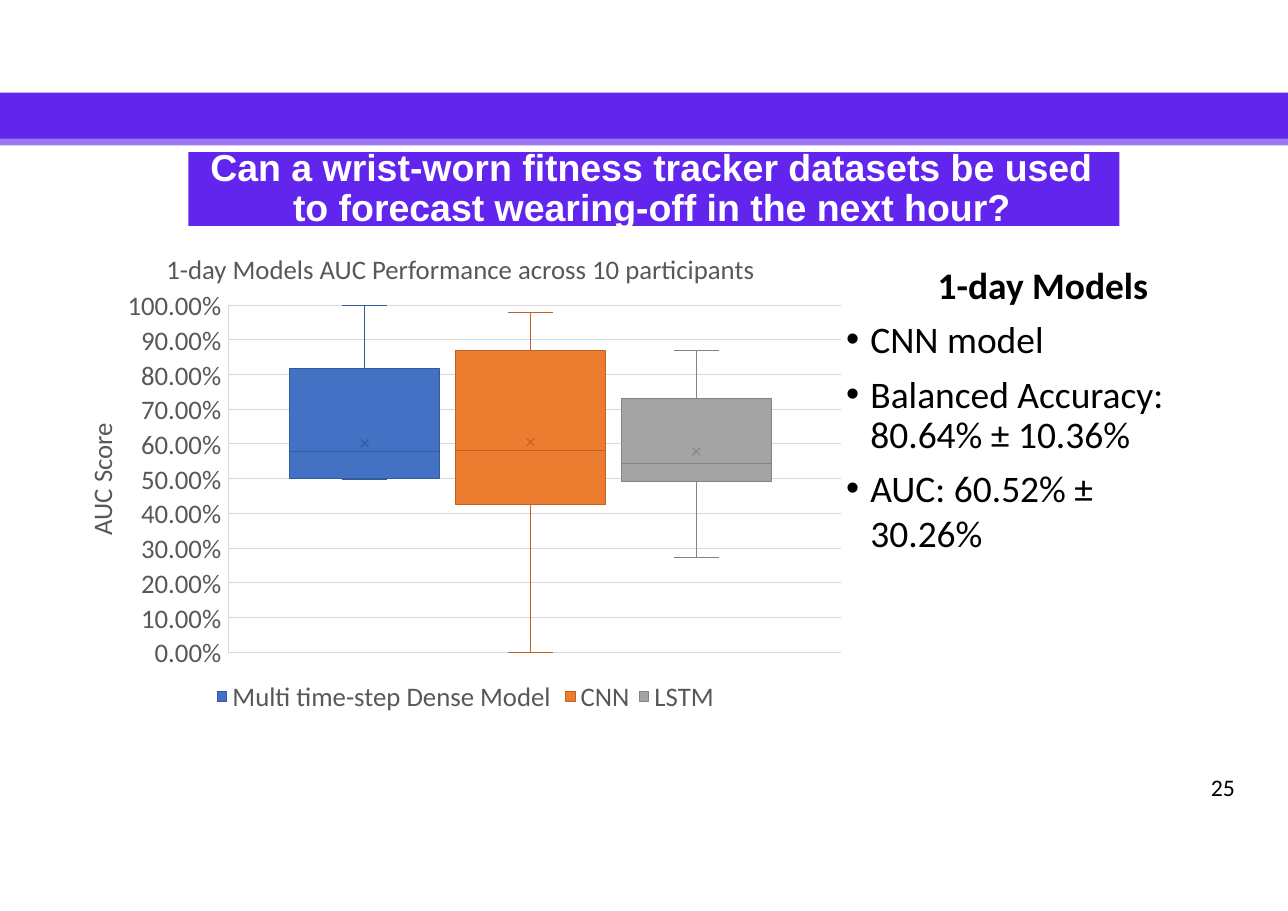
from lxml.etree import SubElement
from pptx import Presentation
from pptx.dml.color import RGBColor
from pptx.enum.shapes import MSO_CONNECTOR, MSO_SHAPE
from pptx.enum.text import MSO_ANCHOR, MSO_AUTO_SIZE, PP_ALIGN
from pptx.oxml.ns import qn
from pptx.util import Inches, Pt

PURPLE = RGBColor(0x61, 0x25, 0xED)
LILAC = RGBColor(0x9D, 0x77, 0xF3)
WHITE = RGBColor(0xFF, 0xFF, 0xFF)
BLACK = RGBColor(0, 0, 0)
GRAY_TEXT = RGBColor(0x58, 0x58, 0x58)
GRID = RGBColor(0xD8, 0xD8, 0xD8)
BLUE, BLUE_EDGE = RGBColor(0x43, 0x71, 0xC3), RGBColor(0x35, 0x5A, 0x9C)
ORANGE, ORANGE_EDGE = RGBColor(0xEC, 0x7C, 0x30), RGBColor(0xBD, 0x63, 0x26)
SILVER, SILVER_EDGE = RGBColor(0xA4, 0xA4, 0xA4), RGBColor(0x83, 0x83, 0x83)

SLIDE_W, SLIDE_H = 11.69, 8.27
PLOT_LEFT, PLOT_RIGHT = 2.07, 7.63
PLOT_TOP, PLOT_BOTTOM = 2.77, 5.92
BOX_W, CAP_W, MARK = 1.36, 0.41, 0.07
FIRST_BOX_X, BOX_PITCH = 3.31, 1.505
LEGEND_Y, SWATCH = 6.28, 0.09

# name, fill, edge, (min, Q1, median, mean, Q3, max) in percent, legend x
MODELS = [
    ("Multi time-step Dense Model", BLUE, BLUE_EDGE,
     (49.8, 50, 57.8, 60.2, 81.6, 100), 1.97),
    ("CNN", ORANGE, ORANGE_EDGE, (0, 42.5, 58.1, 60.5, 87, 97.8), 5.13),
    ("LSTM", SILVER, SILVER_EDGE, (27.3, 49.1, 54.3, 57.8, 73, 87), 5.8),
]
BULLETS = [  # text, space before, exact line spacing
    ("CNN model", 5.9, None),
    ("Balanced Accuracy: 80.64% ± 10.36%", 9.2, 26.5),
    ("AUC: 60.52% ± 30.26%", 5.5, None),
]


def score_y(percent):
    """Height on the slide of a value on the AUC axis."""
    return PLOT_BOTTOM - percent / 100 * (PLOT_BOTTOM - PLOT_TOP)


class SlideBuilder:
    """Draws elements on one slide; lengths are in inches."""

    def __init__(self, slide, font="Calibri", size=17.5, color=GRAY_TEXT, line_w=0.66):
        self.slide = slide
        self.font, self.size, self.color = font, size, color
        self.line_w = line_w

    def run(self, p, text, size=None, color=None, font=None, bold=False):
        r = p.add_run()
        r.text = text
        r.font.name = font or self.font
        r.font.size = Pt(size or self.size)
        r.font.bold = bold
        r.font.color.rgb = self.color if color is None else color

    def frame(self, sp, anchor, margin=0.0):
        """Set plain margins and wrapping, and return the text frame."""
        tf = sp.text_frame
        tf.word_wrap = True
        tf.auto_size = MSO_AUTO_SIZE.NONE
        tf.vertical_anchor = anchor
        tf.margin_left = tf.margin_right = Inches(margin)
        tf.margin_top = tf.margin_bottom = 0
        return tf

    def place(self, sp, x, y, w, h):
        sp.left, sp.top, sp.width, sp.height = map(Inches, (x, y, w, h))

    def rect(self, x, y, w, h, fill, edge=None):
        sp = self.slide.shapes.add_shape(
            MSO_SHAPE.RECTANGLE, *map(Inches, (x, y, w, h)))
        sp.shadow.inherit = False
        sp.fill.solid()
        sp.fill.fore_color.rgb = fill
        if edge is None:
            sp.line.fill.background()
        else:
            sp.line.color.rgb = edge
            sp.line.width = Pt(self.line_w)
        return sp

    def line(self, x1, y1, x2, y2, color):
        sp = self.slide.shapes.add_connector(
            MSO_CONNECTOR.STRAIGHT, *map(Inches, (x1, y1, x2, y2)))
        sp.line.color.rgb = color
        sp.line.width = Pt(self.line_w)
        SubElement(sp._element.spPr, qn("a:effectLst"))

    def text(self, x, y, w, h, text, align=PP_ALIGN.LEFT, **style):
        sp = self.slide.shapes.add_textbox(*map(Inches, (x, y, w, h)))
        p = self.frame(sp, MSO_ANCHOR.MIDDLE).paragraphs[0]
        p.alignment = align
        self.run(p, text, **style)
        return sp

    def title(self, text):
        sp = self.slide.shapes.title
        self.place(sp, 1.71, 1.38, 8.45, 0.67)
        sp.fill.solid()
        sp.fill.fore_color.rgb = PURPLE
        p = self.frame(sp, MSO_ANCHOR.MIDDLE, 0.19).paragraphs[0]
        p.alignment = PP_ALIGN.LEFT
        p.line_spacing = Pt(26.5)
        self.indent(p, 0.76, -0.75)
        self.run(p, text, 24.5, WHITE, "Arial", True)

    def indent(self, p, left, first, bullet=None):
        pPr = p._p.get_or_add_pPr()
        pPr.set("marL", str(Inches(left)))
        pPr.set("indent", str(Inches(first)))
        if bullet:
            SubElement(pPr, qn("a:buFont"), typeface="Arial")
            SubElement(pPr, qn("a:buChar"), char=bullet)
        else:
            SubElement(pPr, qn("a:buNone"))

    def body(self, heading, bullets):
        sp = self.slide.placeholders[1]
        self.place(sp, 7.67, 2.38, 3.25, 2.7)
        tf = self.frame(sp, MSO_ANCHOR.TOP)
        p = tf.paragraphs[0]
        p.space_before = Pt(6.8)
        self.indent(p, 0.84, 0)
        self.run(p, heading, 24.5, BLACK, bold=True)
        for text, before, spacing in bullets:
            p = tf.add_paragraph()
            p.space_before = Pt(before)
            if spacing:
                p.line_spacing = Pt(spacing)
            self.indent(p, 0.23, -0.22, "•")
            self.run(p, text, 24.5, BLACK)

    def axes(self):
        for percent in range(0, 101, 10):
            y = score_y(percent)
            self.line(PLOT_LEFT, y, PLOT_RIGHT, y, GRID)
            self.text(0.95, y - 0.15, 1.06, 0.3, f"{percent:.2f}%", PP_ALIGN.RIGHT)
        self.line(PLOT_LEFT, PLOT_TOP, PLOT_LEFT, PLOT_BOTTOM, GRID)
        sp = self.text(0.32, 4.21, 1.2, 0.28, "AUC Score", PP_ALIGN.CENTER)
        sp.rotation = -90

    def box_plot(self, x, values, fill, edge):
        low, q1, median, mean, q3, high = map(score_y, values)
        for end, side in ((low, q1), (high, q3)):
            self.line(x, side, x, end, edge)
            self.line(x - CAP_W / 2, end, x + CAP_W / 2, end, edge)
        left, right = x - BOX_W / 2, x + BOX_W / 2
        self.rect(left, q3, BOX_W, q1 - q3, fill, edge)
        self.line(left, median, right, median, edge)
        d = MARK / 2
        for slope in (-d, d):
            self.line(x - d, mean - slope, x + d, mean + slope, edge)

    def legend_item(self, x, name, fill, edge):
        self.rect(x, LEGEND_Y, SWATCH, SWATCH, fill, edge)
        self.text(x + 0.14, LEGEND_Y - 0.11, 3, 0.3, name)


def main():
    prs = Presentation()
    prs.slide_width, prs.slide_height = Inches(SLIDE_W), Inches(SLIDE_H)
    s = SlideBuilder(prs.slides.add_slide(prs.slide_layouts[1]))

    s.rect(0, 0.84, SLIDE_W, 0.42, PURPLE)
    s.rect(0, 1.26, SLIDE_W, 0.06, LILAC)
    s.title("Can a wrist-worn fitness tracker datasets be used "
            "to forecast wearing-off in the next hour?")

    s.text(1.51, 2.29, 5.6, 0.3, "1-day Models AUC Performance across 10 participants")
    s.axes()
    for i, (name, fill, edge, values, legend_x) in enumerate(MODELS):
        s.box_plot(FIRST_BOX_X + i * BOX_PITCH, values, fill, edge)
        s.legend_item(legend_x, name, fill, edge)

    s.body("1-day Models", BULLETS)
    s.text(10.99, 7.02, 0.36, 0.25, "25", size=15.5, color=BLACK)
    prs.save("out.pptx")


if __name__ == "__main__":
    main()
